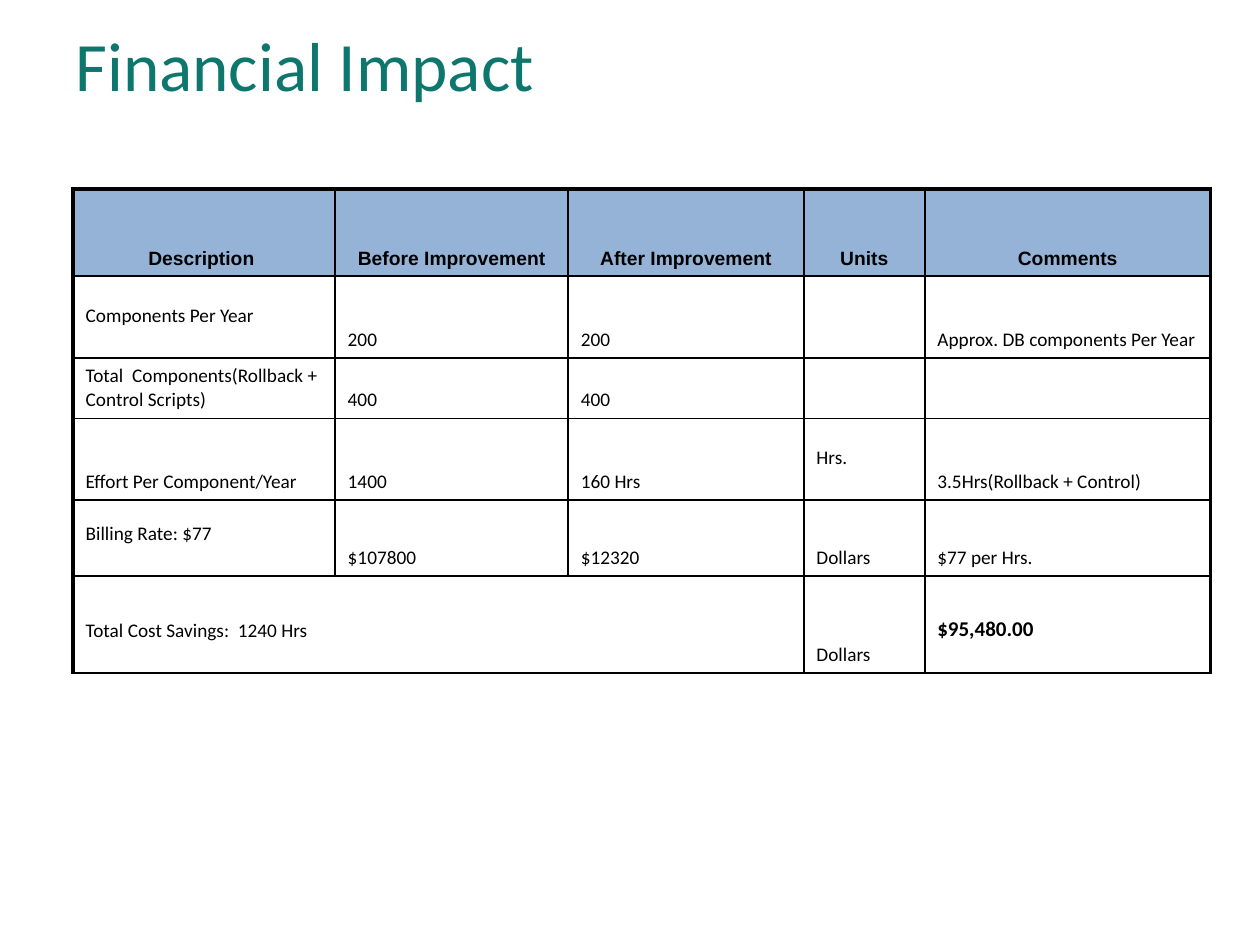
from lxml import etree
from pptx import Presentation
from pptx.dml.color import RGBColor
from pptx.enum.text import MSO_ANCHOR, PP_ALIGN
from pptx.oxml.ns import qn
from pptx.util import Inches, Pt

MIDDLE, BOTTOM = MSO_ANCHOR.MIDDLE, MSO_ANCHOR.BOTTOM
LEFT, CENTER = PP_ALIGN.LEFT, PP_ALIGN.CENTER
TEAL = RGBColor(0x0D, 0x77, 0x6E)
BLUE = RGBColor(0x95, 0xB3, 0xD7)
BLACK = RGBColor(0, 0, 0)


def write(tf, text, size=11, font="Calibri", color=BLACK, bold=False, align=LEFT, spacing=1.0):
    p = tf.paragraphs[0]
    p.alignment = align
    p.line_spacing = spacing
    r = p.add_run()
    r.text = text
    r.font.size = Pt(size)
    r.font.name = font
    r.font.bold = bold
    r.font.color.rgb = color


def set_border(cell, side, width):
    ln = etree.SubElement(cell._tc.get_or_add_tcPr(), qn("a:ln" + side), w=str(Pt(width)))
    fill = etree.SubElement(ln, qn("a:solidFill"))
    etree.SubElement(fill, qn("a:srgbClr"), val=str(BLACK))


prs = Presentation()
prs.slide_width, prs.slide_height = Inches(10), Inches(7.5)
s = prs.slides.add_slide(prs.slide_layouts[6])

title = s.shapes.add_textbox(Inches(0.5), Inches(0.17), Inches(9), Inches(0.67))
tf = title.text_frame
tf.word_wrap = True
tf.vertical_anchor = MIDDLE
write(tf, "Financial Impact", size=39.6, color=TEAL)

rows = [
    ["Description\u00a0", "Before Improvement", "After Improvement", "Units", "Comments"],
    ["Components Per Year", "200", "200", "", "Approx. DB components Per Year"],
    ["Total  Components(Rollback + Control Scripts)", "400", "400", "", ""],
    ["Effort Per Component/Year", "1400", "160 Hrs", "Hrs.", "3.5Hrs(Rollback + Control)"],
    ["Billing Rate: $77", "$107800", "$12320", "Dollars", "$77 per Hrs."],
    ["Total Cost Savings:  1240 Hrs", "", "", "Dollars", "$95,480.00"],
]
col_widths = [2.08, 1.85, 1.87, 0.96, 2.27]
row_heights = [0.69, 0.65, 0.48, 0.65, 0.6, 0.77]
raised = {(1, 0), (3, 3), (4, 0), (5, 0), (5, 4)}
last_col = len(col_widths) - 1

table = s.shapes.add_table(
    len(rows), len(col_widths), Inches(0.58), Inches(1.5),
    Inches(sum(col_widths)), Inches(sum(row_heights))).table
for col, width in zip(table.columns, col_widths):
    col.width = Inches(width)
for row, height in zip(table.rows, row_heights):
    row.height = Inches(height)
table.cell(5, 0).merge(table.cell(5, 2))

for i, row in enumerate(rows):
    for j, text in enumerate(row):
        cell = table.cell(i, j)
        cell.vertical_anchor = BOTTOM
        cell.margin_left = cell.margin_right = Inches(0.1)
        cell.margin_top = Inches(0.05)
        cell.margin_bottom = Inches(0.24 if (i, j) in raised else 0.05)
        heavy = {"L": j == 0, "R": j == last_col, "T": i == 0, "B": False}
        for side, is_heavy in heavy.items():
            set_border(cell, side, 2.25 if is_heavy else 1)
        if i == 0:
            cell.fill.solid()
            cell.fill.fore_color.rgb = BLUE
            write(cell.text_frame, text, font="Arial", bold=True, align=CENTER, spacing=0.95)
            continue
        cell.fill.background()
        if text:
            is_total = (i, j) == (5, last_col)
            write(cell.text_frame, text, size=12 if is_total else 11, bold=is_total)

prs.save("out.pptx")
